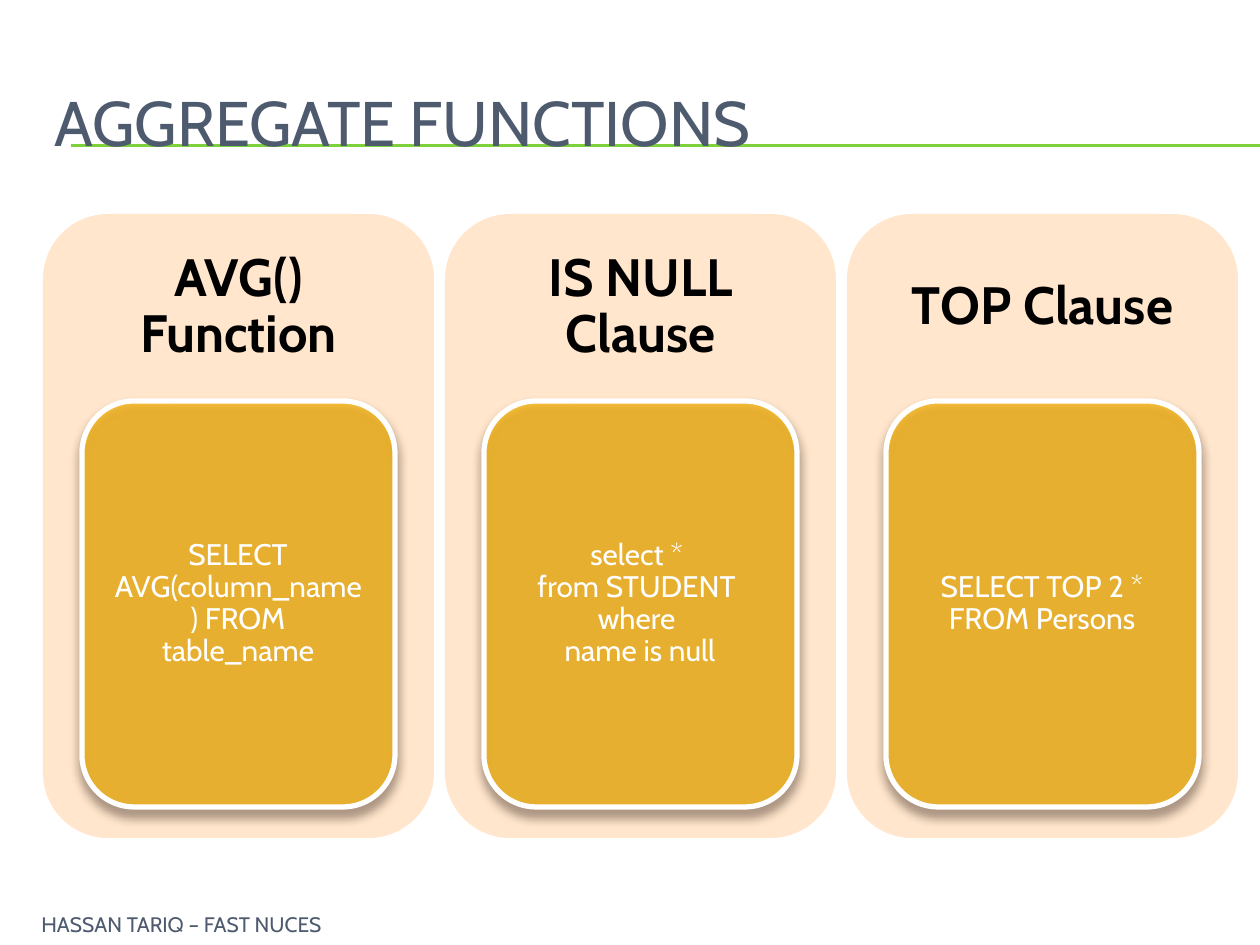
from lxml import etree
from pptx import Presentation
from pptx.dml.color import RGBColor
from pptx.enum.shapes import MSO_CONNECTOR, MSO_SHAPE
from pptx.enum.text import MSO_ANCHOR, PP_ALIGN
from pptx.oxml import parse_xml
from pptx.oxml.ns import nsdecls, qn
from pptx.util import Emu, Pt

FONT = "Cabin"
SLATE = RGBColor(0x4E, 0x5B, 0x6F)
GREEN = RGBColor(0x7F, 0xD1, 0x3B)
PEACH = RGBColor(0xFF, 0xE6, 0xCC)
AMBER = RGBColor(0xFE, 0xB8, 0x0A)
WHITE = RGBColor(0xFF, 0xFF, 0xFF)
BLACK = RGBColor(0x00, 0x00, 0x00)

SHADOW = f"""<a:effectLst {nsdecls("a")}>
  <a:outerShdw blurRad="{Pt(6)}" dist="{Pt(4)}" dir="5400000" rotWithShape="0">
    <a:srgbClr val="4E3B30"><a:alpha val="60000"/></a:srgbClr>
  </a:outerShdw>
</a:effectLst>"""

COLUMNS = [
    ("AVG() Function", ["SELECT AVG(column_name) FROM table_name"]),
    ("IS NULL Clause", ["select * ", "from STUDENT ", "where ", "name is null"]),
    ("TOP Clause", ["SELECT TOP 2 * FROM Persons"]),
]
FIRST_LEFT, COLUMN_PITCH = 43, 402


def px(*values):
    return [Emu(round(value * 914400 / 126)) for value in values]


def add_text(area, lines, size, color, inset=None, bold=False):
    box = page.shapes.add_textbox(*px(*area))
    frame = box.text_frame
    frame.word_wrap = True
    frame.vertical_anchor = MSO_ANCHOR.MIDDLE
    para = frame.paragraphs[0]
    if inset:
        (margin,) = px(inset)
        frame.margin_left = frame.margin_right = margin
        frame.margin_top = frame.margin_bottom = margin
        para.alignment = PP_ALIGN.CENTER
        para.line_spacing = 0.9
    for index, line in enumerate(lines):
        if index:
            para.add_line_break()
        span = para.add_run()
        span.text = line
        span.font.name = FONT
        span.font.size = Pt(size)
        span.font.bold = bold
        span.font.color.rgb = color


deck = Presentation()
deck.slide_width, deck.slide_height = px(1260, 945)
page = deck.slides.add_slide(deck.slide_layouts[6])

for y in (145, 146):
    rule = page.shapes.add_connector(MSO_CONNECTOR.STRAIGHT, *px(71, y, 1260, y))
    rule.line.color.rgb = GREEN
    rule.line.width = Pt(0.75)
    etree.SubElement(rule._element.spPr, qn("a:effectLst"))

add_text((42, 63, 1197, 116), ["AGGREGATE FUNCTIONS"], 36, SLATE)

for index, (heading, query) in enumerate(COLUMNS):
    left = FIRST_LEFT + index * COLUMN_PITCH

    panel = page.shapes.add_shape(MSO_SHAPE.ROUNDED_RECTANGLE, *px(left, 214, 391, 624))
    panel.shadow.inherit = False
    panel.fill.solid()
    panel.fill.fore_color.rgb = PEACH
    panel.line.fill.background()
    add_text((left + 9, 223, 373, 169), [heading], 30, BLACK, 29, True)

    card = page.shapes.add_shape(MSO_SHAPE.ROUNDED_RECTANGLE, *px(left + 39, 401, 313, 406))
    card.fill.solid()
    card.fill.fore_color.rgb = AMBER
    tint = card._element.spPr.find(qn("a:solidFill")).find(qn("a:srgbClr"))
    etree.SubElement(tint, qn("a:alpha"), val="70000")
    card.line.color.rgb = WHITE
    card.line.width = Pt(3)
    card._element.spPr.append(parse_xml(SHADOW))
    add_text((left + 54, 417, 282, 374), query, 17, WHITE, 16)

add_text((29, 914, 843, 21), ["HASSAN TARIQ – FAST NUCES"], 12, SLATE)

deck.save("out.pptx")
